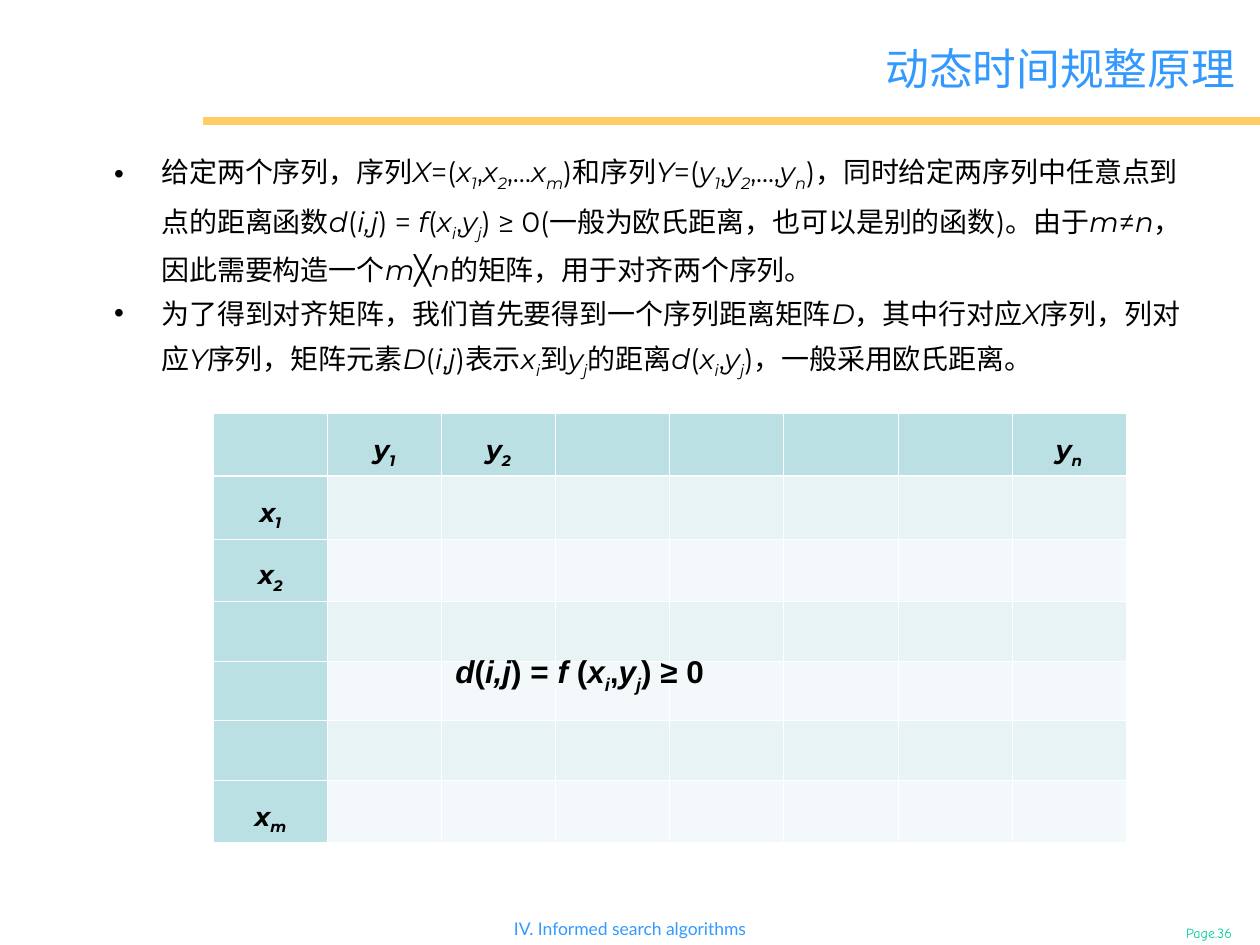
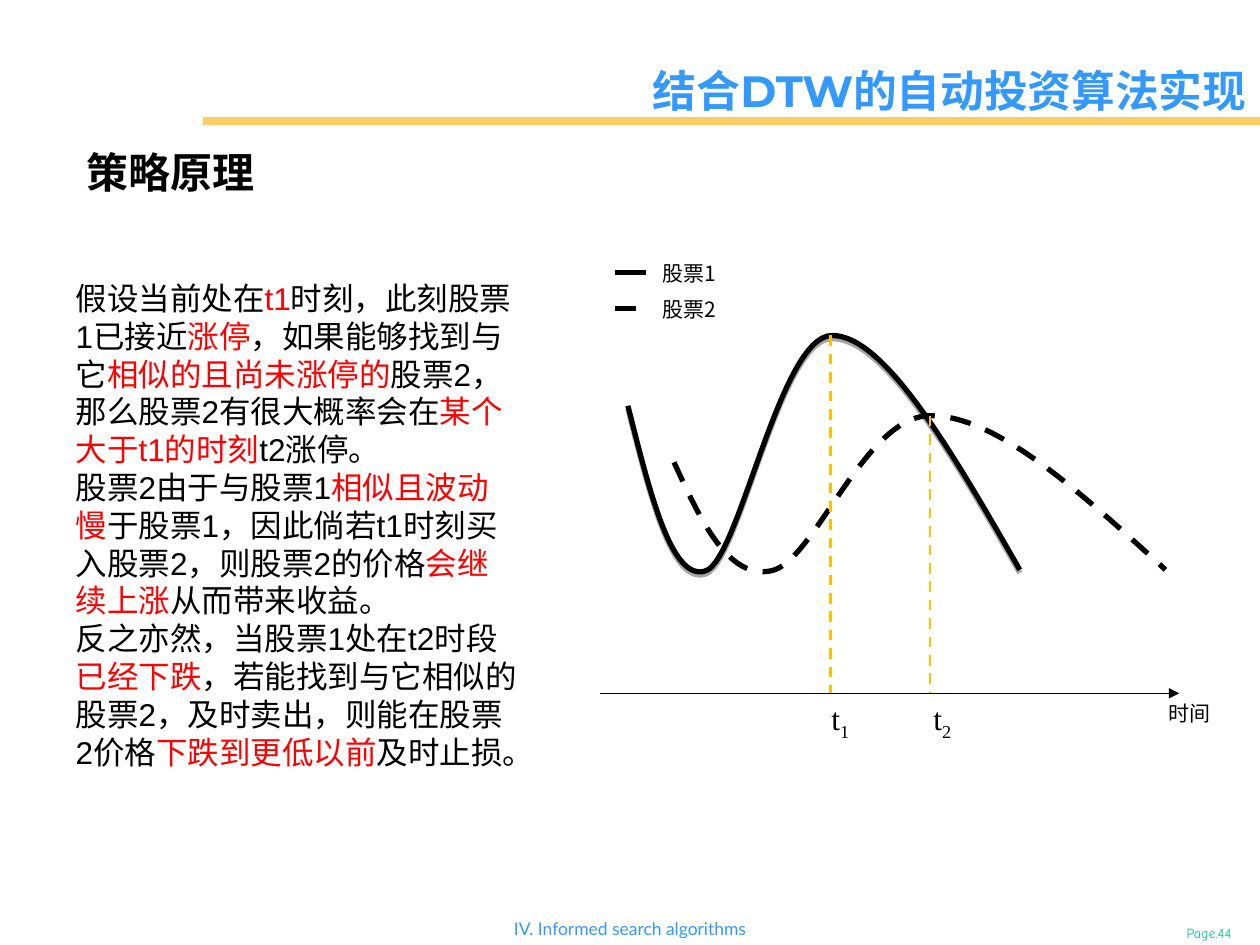
from dataclasses import dataclass
from typing import Any, NamedTuple

from lxml.etree import SubElement
from pptx import Presentation
from pptx.dml.color import RGBColor
from pptx.enum.dml import MSO_LINE
from pptx.enum.shapes import MSO_CONNECTOR
from pptx.enum.text import MSO_ANCHOR, MSO_AUTO_SIZE, PP_ALIGN
from pptx.oxml.ns import qn
from pptx.util import Pt


@dataclass(frozen=True)
class Theme:
    black: str = "000000"
    white: str = "FFFFFF"
    red: str = "FF0000"
    blue: str = "3399FF"
    green: str = "00CC99"
    band: str = "FFCC66"
    marker: str = "FFC000"
    header_fill: str = "BBE0E3"
    row_fills: tuple[str, str] = ("E7F3F4", "F3F9FA")
    east_asian: str = "Noto Sans CJK SC"
    title_size: float = 25
    heading_size: float = 24
    text_size: float = 18
    body_size: float = 16
    cell_size: float = 15
    label_size: float = 12
    footer_size: float = 10
    page_size: float = 8


THEME = Theme()


class Box(NamedTuple):
    left: float
    top: float
    width: float
    height: float


class Point(NamedTuple):
    x: float
    y: float


@dataclass(frozen=True)
class Style:
    size: float
    font: str
    color: str = THEME.black
    bold: bool = False
    align: PP_ALIGN = PP_ALIGN.LEFT
    spacing: float = 1.0


@dataclass(frozen=True)
class TextBlock:
    box: Box
    paragraphs: tuple[str, ...]
    style: Style
    wrap: bool = True
    grow: bool = True
    anchor: MSO_ANCHOR = MSO_ANCHOR.TOP
    bullets: bool = False


@dataclass(frozen=True)
class Line:
    start: Point
    end: Point
    color: str = THEME.black
    width: float = 3
    dashed: bool = False
    arrow: bool = False


@dataclass(frozen=True)
class Curve:
    points: tuple[Point, ...]
    dashed: bool = False
    shadow: bool = False


TITLE = Style(THEME.title_size, "Montserrat", THEME.blue, align=PP_ALIGN.RIGHT, spacing=1.4)
BOLD_TITLE = Style(THEME.title_size, "Montserrat", THEME.blue, True, PP_ALIGN.RIGHT, 1.4)
BODY = Style(THEME.body_size, "Montserrat", spacing=1.3)
CELL = Style(THEME.cell_size, "Montserrat", bold=True, align=PP_ALIGN.CENTER, spacing=1.4)
FORMULA = Style(THEME.text_size, "Arial", bold=True, spacing=1.4)
HEADING = Style(THEME.heading_size, "Times New Roman", bold=True)
STRATEGY = Style(THEME.text_size, "Arial")
TIME_MARK = Style(THEME.text_size, "Times New Roman")
LABEL = Style(THEME.label_size, THEME.east_asian)
FOOTER = Style(THEME.footer_size, "Lato", THEME.blue, align=PP_ALIGN.CENTER)
PAGE = Style(THEME.page_size, "Comic Neue", THEME.green, align=PP_ALIGN.CENTER)

ITALIC, SUBSCRIPT, RED = "*", "_", "~"


def apply_format(target: Any, values: dict[str, Any]) -> None:
    for name, value in values.items():
        setattr(target, name, value)


def split_marks(text: str) -> list[tuple[str, frozenset[str]]]:
    pieces, active, current = [], frozenset(), ""
    for character in text:
        if character in (ITALIC, SUBSCRIPT, RED):
            if current:
                pieces.append((current, active))
            active, current = active ^ {character}, ""
        else:
            current += character
    return pieces + [(current, active)] if current else pieces


def add_bullet(paragraph: Any) -> None:
    properties = paragraph._p.get_or_add_pPr()
    properties.set("marL", str(Pt(27)))
    properties.set("indent", str(-Pt(27)))
    color = SubElement(properties, qn("a:buClr"))
    SubElement(color, qn("a:srgbClr"), val=THEME.black)
    SubElement(properties, qn("a:buFont"), typeface="Arial")
    SubElement(properties, qn("a:buChar"), char="•")


def write_paragraph(paragraph: Any, text: str, style: Style) -> None:
    apply_format(paragraph, {"alignment": style.align, "line_spacing": style.spacing})
    for content, marks in split_marks(text):
        run = paragraph.add_run()
        run.text = content
        apply_format(run.font, {"size": Pt(style.size), "name": style.font,
                                "bold": style.bold, "italic": ITALIC in marks})
        color = THEME.red if RED in marks else style.color
        run.font.color.rgb = RGBColor.from_string(color)
        properties = run._r.get_or_add_rPr()
        SubElement(properties, qn("a:ea"), typeface=THEME.east_asian)
        if SUBSCRIPT in marks:
            properties.set("baseline", "-25000")


def draw_text(slide: Any, block: TextBlock) -> None:
    shape = slide.shapes.add_textbox(*map(Pt, block.box))
    frame = shape.text_frame
    size_rule = MSO_AUTO_SIZE.SHAPE_TO_FIT_TEXT if block.grow else MSO_AUTO_SIZE.NONE
    apply_format(frame, {"word_wrap": block.wrap, "auto_size": size_rule,
                         "vertical_anchor": block.anchor})
    for index, text in enumerate(block.paragraphs):
        paragraph = frame.add_paragraph() if index else frame.paragraphs[0]
        write_paragraph(paragraph, text, block.style)
        if block.bullets:
            add_bullet(paragraph)


def format_line(line: Any, color: str, width: float, dashed: bool) -> None:
    line.color.rgb = RGBColor.from_string(color)
    line.width = Pt(width)
    if dashed:
        line.dash_style = MSO_LINE.DASH


def draw_line(slide: Any, line: Line) -> None:
    connector = slide.shapes.add_connector(MSO_CONNECTOR.STRAIGHT, *map(Pt, line.start + line.end))
    format_line(connector.line, line.color, line.width, line.dashed)
    if line.arrow:
        SubElement(connector.line._get_or_add_ln(), qn("a:tailEnd"), type="triangle")
    SubElement(connector._element.spPr, qn("a:effectLst"))


def bend_segments(shape: Any, points: tuple[Point, ...]) -> None:
    outline = next(shape._element.iter(qn("a:path")))
    for segment in outline.findall(qn("a:lnTo")):
        outline.remove(segment)
    for first in range(1, len(points), 3):
        bend = SubElement(outline, qn("a:cubicBezTo"))
        for point in points[first:first + 3]:
            SubElement(bend, qn("a:pt"), x=str(Pt(point.x) - shape.left),
                       y=str(Pt(point.y) - shape.top))


def draw_curve(slide: Any, curve: Curve) -> None:
    anchors = [tuple(map(Pt, point)) for point in curve.points[::3]]
    builder = slide.shapes.build_freeform(*anchors[0])
    builder.add_line_segments(anchors[1:], close=False)
    shape = builder.convert_to_shape()
    bend_segments(shape, curve.points)
    shape.fill.background()
    format_line(shape.line, THEME.black, 3, curve.dashed)
    shape.shadow.inherit = False
    if curve.shadow:
        effects = shape._element.spPr.find(qn("a:effectLst"))
        outer = SubElement(effects, qn("a:outerShdw"), blurRad="0", dist=str(Pt(1.8)),
                           dir="5400000", rotWithShape="0")
        color = SubElement(outer, qn("a:srgbClr"), val=THEME.black)
        SubElement(color, qn("a:alpha"), val="35000")


def format_cell(cell: Any, fill: str, borders: dict[str, float]) -> None:
    apply_format(cell, {"margin_left": Pt(3), "margin_right": Pt(3), "margin_top": Pt(3.6),
                        "margin_bottom": Pt(3.6), "vertical_anchor": MSO_ANCHOR.MIDDLE})
    properties = cell._tc.get_or_add_tcPr()
    for side, width in borders.items():
        border = SubElement(properties, qn(f"a:{side}"), w=str(Pt(width)))
        solid = SubElement(border, qn("a:solidFill"))
        SubElement(solid, qn("a:srgbClr"), val=THEME.white)
    cell.fill.solid()
    cell.fill.fore_color.rgb = RGBColor.from_string(fill)


def draw_distance_table(slide: Any) -> None:
    column_labels = ("", "*y_1_*", "*y_2_*", "", "", "", "", "*y_n_*")
    row_labels = ("", "*x_1_*", "*x_2_*", "", "", "", "*x_m_*")
    rows, columns = len(row_labels), len(column_labels)
    width, height = 65.2, 34
    box = Box(121.9, 236.2, columns * width, rows * height)
    table = slide.shapes.add_table(rows, columns, *map(Pt, box)).table
    for column in table.columns:
        column.width = Pt(width)
    for row_index, row in enumerate(table.rows):
        row.height = Pt(height)
        borders = {"lnL": 0.45, "lnR": 0.45, "lnT": 1.47 if row_index == 1 else 0.45,
                   "lnB": 1.47 if row_index == 0 else 0.45}
        for column_index, cell in enumerate(row.cells):
            is_header = row_index == 0 or column_index == 0
            fill = THEME.header_fill if is_header else THEME.row_fills[(row_index - 1) % 2]
            format_cell(cell, fill, borders)
            label = row_labels[row_index] if column_index == 0 else column_labels[column_index]
            if is_header and label:
                write_paragraph(cell.text_frame.paragraphs[0], label, CELL)


def add_slide(presentation: Any, page: int, title: str, title_box: Box, title_style: Style) -> Any:
    slide = presentation.slides.add_slide(presentation.slide_layouts[6])
    draw_line(slide, Line(Point(116.2, 69.3), Point(720, 69.3), THEME.band, 4.5))
    draw_text(slide, TextBlock(Box(664.6, 524.9, 52.6, 17.3), (f"Page.{page}",), PAGE))
    draw_text(slide, TextBlock(Box(280.1, 520.9, 159.8, 19.4),
                               ("IV. Informed search algorithms",), FOOTER, wrap=False))
    draw_text(slide, TextBlock(title_box, (title,), title_style, grow=False,
                               anchor=MSO_ANCHOR.MIDDLE))
    return slide


def build_principle_slide(presentation: Any) -> None:
    slide = add_slide(presentation, 36, "动态时间规整原理", Box(59.8, 8, 653, 49.7), TITLE)
    draw_text(slide, TextBlock(Box(58.1, 78.5, 625, 141.8), (
        "给定两个序列，序列*X*=(*x_1_*,*x_2_*,…*x_m_*)和序列*Y*=(*y_1_*,*y_2_*,...,*y_n_*)，"
        "同时给定两序列中任意点到点的距离函数*d*(*i,j*) = *f*(*x_i_*,*y_j_*) ≥ 0"
        "(一般为欧氏距离，也可以是别的函数)。由于*m*≠*n*，因此需要构造一个*m*╳*n*的矩阵，"
        "用于对齐两个序列。",
        "为了得到对齐矩阵，我们首先要得到一个序列距离矩阵*D*，其中行对应*X*序列，列对应*Y*序列，"
        "矩阵元素*D*(*i*,*j*)表示*x_i_*到*y_j_*的距离*d*(*x_i_*,*y_j_*)，一般采用欧氏距离。",
    ), BODY, grow=False, bullets=True))
    draw_distance_table(slide)
    draw_text(slide, TextBlock(Box(253.1, 359.3, 160, 41.8),
                               ("*d*(*i,j*) = *f *(*x_i_*,*y_j_*) ≥ 0",), FORMULA, wrap=False))


def build_strategy_slide(presentation: Any) -> None:
    slide = add_slide(presentation, 44, "结合DTW的自动投资算法实现",
                      Box(35.3, 20.5, 684, 49.7), BOLD_TITLE)
    axis_y = 396.2
    first_peak, second_peak = Point(474.7, 191.7), Point(531.4, 237.6)
    first_stock = Curve((
        Point(358.8, 231.9), Point(371.5, 282.2), Point(383.8, 332.6), Point(403.2, 326.2),
        Point(422.6, 319.7), Point(445.7, 191.5), Point(475.5, 191.7),
        Point(505.4, 191.5), Point(544.3, 258.5), Point(582.7, 325.6)), shadow=True)
    second_stock = Curve((
        Point(385.2, 264.2), Point(400.3, 297.4), Point(416.2, 331.2), Point(440.6, 326.2),
        Point(465.1, 321.8), Point(493.9, 237.6), second_peak,
        Point(568.8, 236.9), Point(617.8, 281.5), Point(666, 325.6)), dashed=True)
    draw_line(slide, Line(Point(342.7, axis_y), Point(673.9, axis_y), width=0.75, arrow=True))
    for curve in (first_stock, second_stock):
        draw_curve(slide, curve)
    for index, peak in enumerate((first_peak, second_peak), 1):
        draw_line(slide, Line(peak, Point(peak.x, axis_y), THEME.marker, 1.5, dashed=True))
        draw_text(slide, TextBlock(Box(468 + 58.3 * (index - 1), 396, 24.5, 31.7),
                                   (f"t_{index}_",), TIME_MARK, wrap=False))
        legend_y = 155.7 + 20.5 * (index - 1)
        draw_line(slide, Line(Point(351.2, legend_y), Point(369.4, legend_y), dashed=index == 2))
        draw_text(slide, TextBlock(Box(371.5, legend_y - 10.5, 48.2, 21.6),
                                   (f"股票{index}",), LABEL, wrap=False))
    draw_text(slide, TextBlock(Box(660.5, 396.7, 38.2, 21.6), ("时间",), LABEL, wrap=False))
    draw_text(slide, TextBlock(Box(42.5, 79.9, 360, 36), ("策略原理",), HEADING))
    draw_text(slide, TextBlock(Box(36.2, 155.9, 266.4, 309.6), (
        "假设当前处在~t1~时刻，此刻股票1已接近~涨停~，如果能够找到与它~相似的且尚未涨停的~"
        "股票2，那么股票2有很大概率会在~某个大于t1的时刻~t2涨停。",
        "股票2由于与股票1~相似且波动慢~于股票1，因此倘若t1时刻买入股票2，则股票2的价格"
        "~会继续上涨~从而带来收益。",
        "反之亦然，当股票1处在t2时段~已经下跌~，若能找到与它相似的股票2，及时卖出，"
        "则能在股票2价格~下跌到更低以前~及时止损。",
    ), STRATEGY))


def main() -> None:
    presentation = Presentation()
    apply_format(presentation, {"slide_width": Pt(720), "slide_height": Pt(540)})
    build_principle_slide(presentation)
    build_strategy_slide(presentation)
    presentation.save("out.pptx")


if __name__ == "__main__":
    main()
